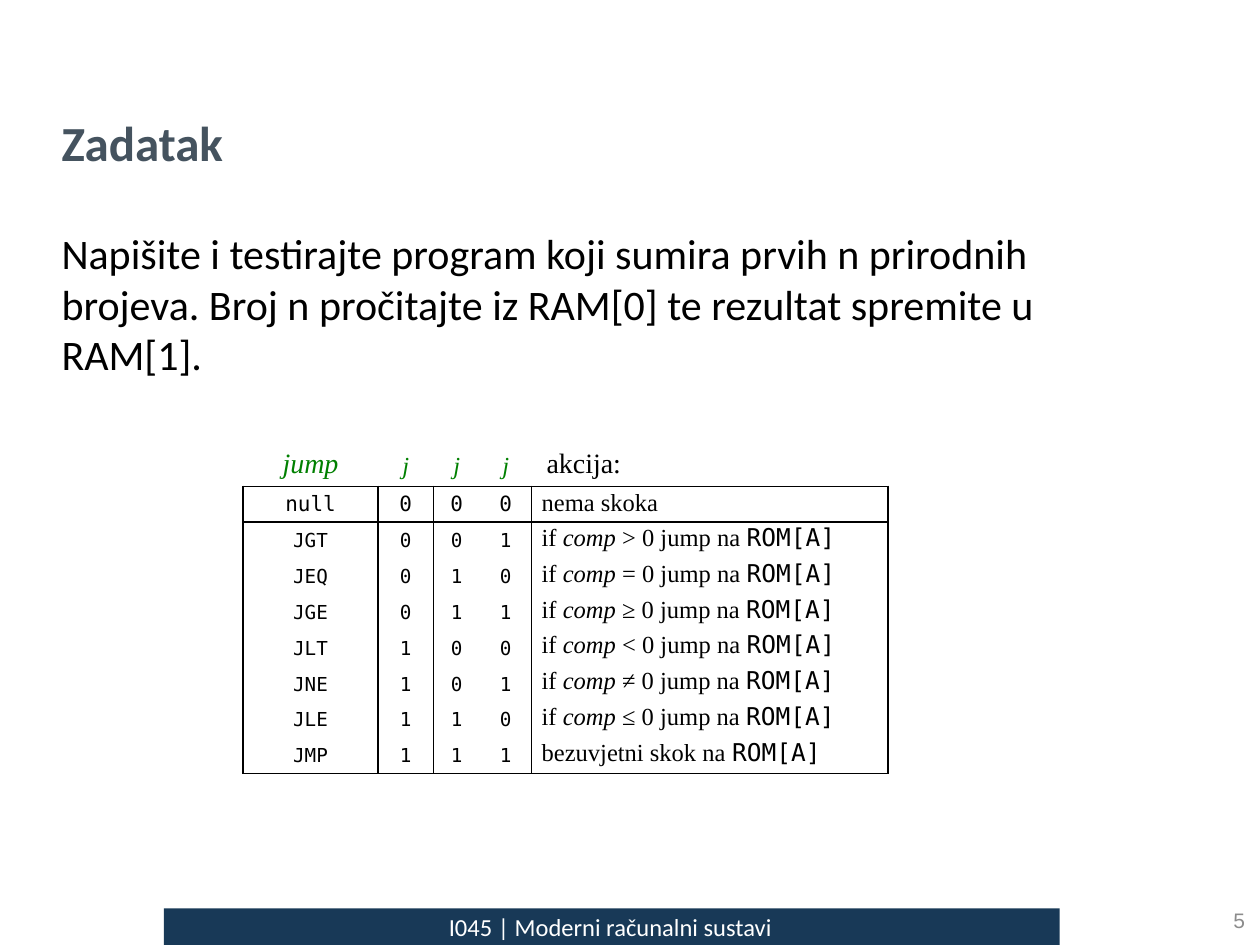
import dataclasses

import lxml.etree
import pptx
import pptx.dml.color
import pptx.enum.shapes
import pptx.enum.text
import pptx.oxml.ns
import pptx.util

Inches = pptx.util.Inches
Pt = pptx.util.Pt
RGBColor = pptx.dml.color.RGBColor
Align = pptx.enum.text.PP_ALIGN
Anchor = pptx.enum.text.MSO_ANCHOR

BLACK = RGBColor(0x00, 0x00, 0x00)
WHITE = RGBColor(0xFF, 0xFF, 0xFF)
NAVY = RGBColor(0x18, 0x39, 0x57)
SLATE = RGBColor(0x45, 0x53, 0x5F)
GRAY = RGBColor(0x8C, 0x8C, 0x8C)
GREEN = RGBColor(0x00, 0x80, 0x00)
SERIF = "Times New Roman"
MONO = "DejaVu Sans Mono"


@dataclasses.dataclass
class Span:
    """A run of text with its look."""
    text: str
    size: float
    font: str
    color: RGBColor = BLACK
    bold: bool = False
    italic: bool = False


@dataclasses.dataclass
class Label:
    """A text box holding one paragraph."""
    left: float
    top: float
    width: float
    height: float
    span: Span
    align: Align = Align.LEFT
    anchor: Anchor = Anchor.TOP
    space_before: float = 0


LABELS = [
    Label(1.38, 7.19, 6.93, 0.34,
          Span("I045 | Moderni računalni sustavi", 14, "Calibri", WHITE), Align.CENTER),
    Label(0.39, 1.76, 8.9, 5.22,
          Span("Napišite i testirajte program koji sumira prvih n prirodnih brojeva. "
               "Broj n pročitajte iz RAM[0] te rezultat spremite u RAM[1].", 24, "Calibri"),
          space_before=4.8),
    Label(9.45, 7.1, 0.53, 0.4, Span("5", 12, "Arial", GRAY), Align.RIGHT, Anchor.MIDDLE),
    Label(0.39, 0.84, 7.24, 0.63, Span("Zadatak", 28, "Calibri", SLATE, bold=True)),
]

COLUMN_WIDTHS = [1.07, 0.44, 0.37, 0.41, 2.83]
HEADER_HEIGHT = 0.42
TABLE_HEIGHT = 2.7
JUMPS = ["null", "JGT", "JEQ", "JGE", "JLT", "JNE", "JLE", "JMP"]
COMPARISONS = ">=≥<≠≤"
LAST_ROW = len(JUMPS)
LAST_COLUMN = len(COLUMN_WIDTHS) - 1
RULED_COLUMN_EDGES = {0, 1, 2, 4, 5}
RULED_ROW_EDGES = {1, 2, LAST_ROW + 1}


def add_span(para, span: Span) -> None:
    """Append one formatted run to a paragraph."""
    run = para.add_run()
    run.text = span.text
    run.font.size = Pt(span.size)
    run.font.name = span.font
    run.font.bold = span.bold
    run.font.italic = span.italic
    run.font.color.rgb = span.color


def add_label(page, label: Label) -> None:
    """Draw a text box."""
    box = page.shapes.add_textbox(Inches(label.left), Inches(label.top),
                                  Inches(label.width), Inches(label.height))
    frame = box.text_frame
    frame.word_wrap = True
    frame.vertical_anchor = label.anchor
    para = frame.paragraphs[0]
    para.alignment = label.align
    para.space_before = Pt(label.space_before)
    add_span(para, label.span)


def add_footer_bar(page) -> None:
    """Draw the band behind the course name."""
    bar = page.shapes.add_shape(pptx.enum.shapes.MSO_SHAPE.RECTANGLE,
                                Inches(1.3), Inches(7.21), Inches(7.11), Inches(0.29))
    bar.shadow.inherit = False
    bar.fill.solid()
    bar.fill.fore_color.rgb = NAVY
    bar.line.fill.background()


def action_spans(code: int) -> list[Span]:
    """Return the description of the jump with the given bit code."""
    target = Span("ROM[A]", 14, MONO)
    if code == 0:
        return [Span("nema skoka", 14, SERIF)]
    if code == LAST_ROW - 1:
        return [Span("bezuvjetni skok na ", 14, SERIF), target]
    return [Span("if ", 14, SERIF), Span("comp", 14, SERIF, italic=True),
            Span(f" {COMPARISONS[code - 1]} 0 jump na ", 14, SERIF), target]


def table_rows() -> list[list[list[Span]]]:
    """Return the spans of every cell, row by row."""
    header = [[Span("jump", 16, SERIF, GREEN, italic=True)]]
    header += [[Span("j", 14, SERIF, GREEN, italic=True)] for _ in range(3)]
    header.append([Span("akcija:", 16, SERIF)])
    rows = [header]
    for code, jump in enumerate(JUMPS):
        size = 12 if code == 0 else 11
        rows.append([[Span(text, size, MONO)] for text in (jump, *f"{code:03b}")]
                    + [action_spans(code)])
    return rows


def set_borders(cell, row: int, column: int) -> None:
    """Rule the edges of a cell and clear the others."""
    in_grid = row > 0
    edges = {
        "lnL": in_grid and column in RULED_COLUMN_EDGES,
        "lnR": in_grid and column + 1 in RULED_COLUMN_EDGES,
        "lnT": row in RULED_ROW_EDGES,
        "lnB": row + 1 in RULED_ROW_EDGES,
    }
    qn = pptx.oxml.ns.qn
    properties = cell._tc.get_or_add_tcPr()
    for tag, ruled in edges.items():
        line = lxml.etree.SubElement(properties, qn(f"a:{tag}"), w=str(Pt(1)))
        if ruled:
            fill = lxml.etree.SubElement(line, qn("a:solidFill"))
            lxml.etree.SubElement(fill, qn("a:srgbClr"), val=str(BLACK))
        else:
            lxml.etree.SubElement(line, qn("a:noFill"))


def fill_cell(cell, row: int, column: int, spans: list[Span]) -> None:
    """Format one table cell and write its text."""
    is_header = row == 0
    is_action = column == LAST_COLUMN
    set_borders(cell, row, column)
    if is_header:
        cell.fill.solid()
        cell.fill.fore_color.rgb = WHITE
    else:
        cell.fill.background()
    indent = 0.12 if is_header else 0.08
    cell.margin_left = Inches(indent if is_action else 0)
    cell.margin_right = Inches(0)
    cell.margin_top = cell.margin_bottom = Inches(0.05 if is_header else 0)
    cell.vertical_anchor = Anchor.BOTTOM if is_header else Anchor.MIDDLE
    para = cell.text_frame.paragraphs[0]
    para.alignment = Align.LEFT if is_action else Align.CENTER
    para.line_spacing = Pt(13.2 if is_header else 13.8)
    for span in spans:
        add_span(para, span)


def add_jump_table(page) -> None:
    """Draw the table of jump codes."""
    rows = table_rows()
    table = page.shapes.add_table(len(rows), len(COLUMN_WIDTHS), Inches(1.93), Inches(3.44),
                                  Inches(sum(COLUMN_WIDTHS)), Inches(TABLE_HEIGHT)).table
    table.first_row = table.horz_banding = False
    for column, width in zip(table.columns, COLUMN_WIDTHS):
        column.width = Inches(width)
    for index, cells in enumerate(rows):
        height = (TABLE_HEIGHT - HEADER_HEIGHT) / LAST_ROW if index else HEADER_HEIGHT
        table.rows[index].height = Inches(height)
        for column, spans in enumerate(cells):
            fill_cell(table.cell(index, column), index, column, spans)


def main() -> None:
    """Build and save the deck."""
    deck = pptx.Presentation()
    deck.slide_width, deck.slide_height = Inches(10), Inches(7.5)
    page = deck.slides.add_slide(deck.slide_layouts[6])
    add_footer_bar(page)
    for label in LABELS:
        add_label(page, label)
    add_jump_table(page)
    deck.save("out.pptx")


main()
